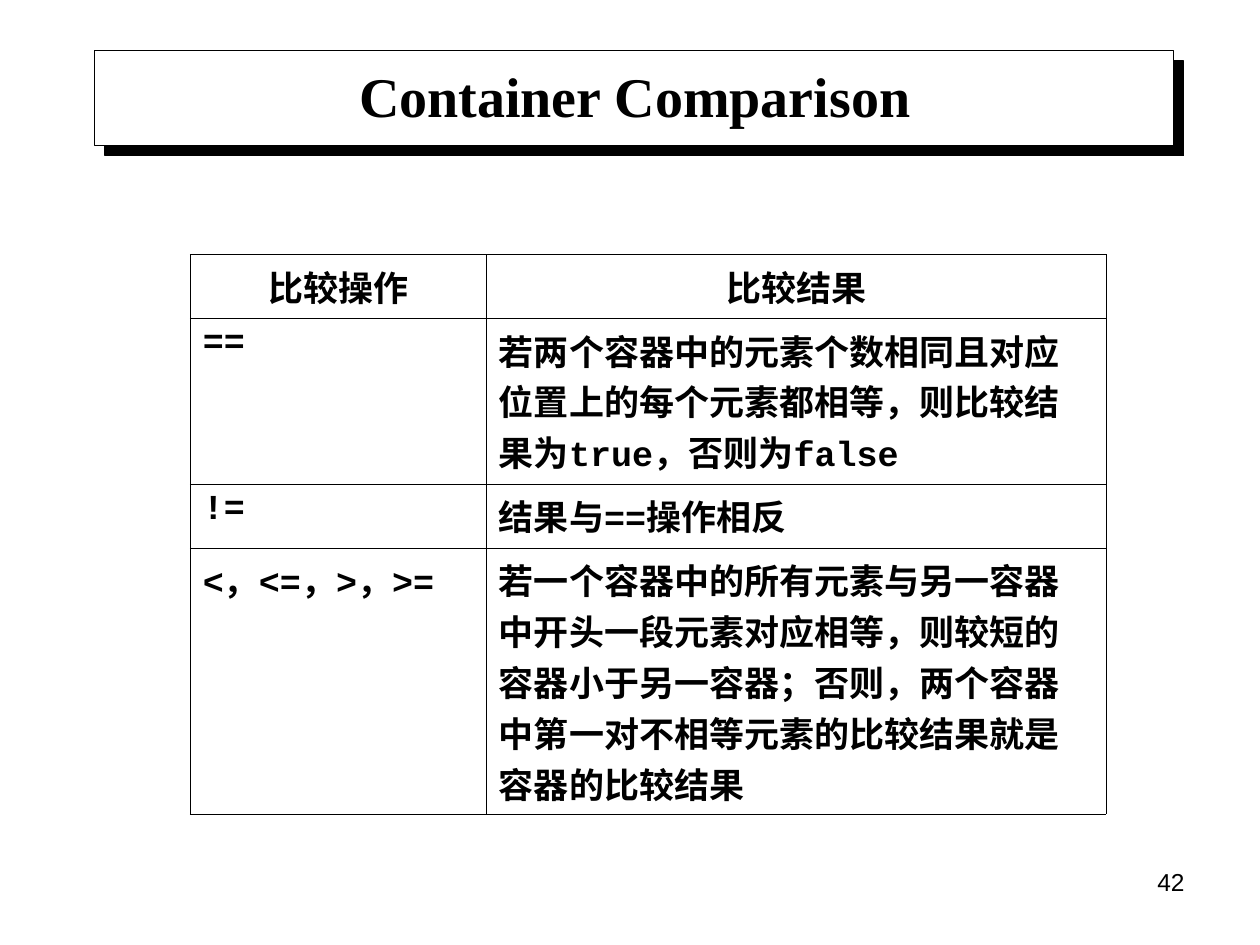
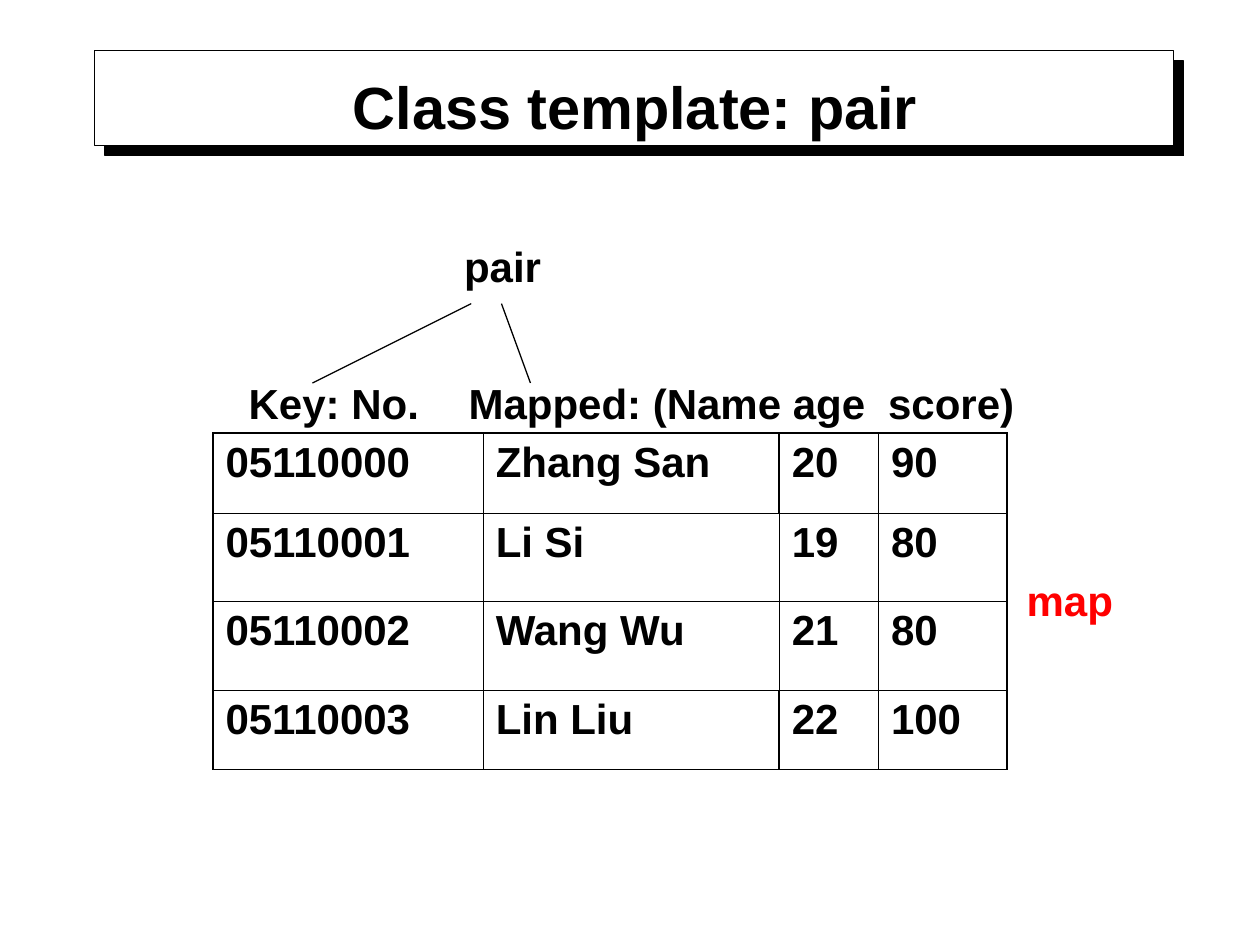
from dataclasses import dataclass

from lxml import etree
from pptx import Presentation
from pptx import util as u
from pptx.dml.color import RGBColor
from pptx.enum import shapes, text
from pptx.oxml import ns


@dataclass(frozen=True)
class Theme:
    ink: RGBColor = RGBColor(0, 0, 0)
    paper: RGBColor = RGBColor(255, 255, 255)
    accent: RGBColor = RGBColor(255, 0, 0)
    sans: str = "Arial"
    serif: str = "Times New Roman"
    mono: str = "Courier New"
    number_size: int = 14
    cell_size: int = 20
    label_size: int = 24
    serif_title_size: int = 32
    sans_title_size: int = 34
    line: float = 0.75
    hair: float = 0.34
    thin: float = 0.45
    thick: float = 1.08


@dataclass(frozen=True)
class Box:
    left: float
    top: float
    width: float
    height: float

    def inside(self, left, top, width, height):
        return Box(self.left + left, self.top + top, width, height)

    def lengths(self):
        return [grid(value) for value in (self.left, self.top, self.width, self.height)]


THEME = Theme()
SLIDE_WIDTH, SLIDE_HEIGHT = u.Inches(10), u.Inches(7.5)
COLUMNS = 100
BAND = Box(7.5, 4, 85.63, 7.53)
INSETS = {"margin_left": u.Inches(0.1), "margin_right": u.Inches(0.1),
          "margin_top": u.Inches(0.05), "margin_bottom": u.Inches(0.05)}
NO_INSETS = dict.fromkeys(INSETS, 0)


def grid(count):
    return u.Emu(round(count * SLIDE_WIDTH / COLUMNS))


def apply_format(target, values):
    for name, value in values.items():
        setattr(target, name, value)


def add_element(parent, tag, **attributes):
    return etree.SubElement(parent, ns.qn(tag), attributes)


def write(paragraph, runs, size, bold=True, color=THEME.ink, align=text.PP_ALIGN.LEFT):
    paragraph.alignment = align
    for words, face in runs:
        run = paragraph.add_run()
        run.text = words
        apply_format(run.font, {"name": face, "size": u.Pt(size), "bold": bold})
        run.font.color.rgb = color


def add_label(slide, box, words, size=THEME.label_size, tab=None,
              anchor=text.MSO_ANCHOR.MIDDLE, **style):
    frame = slide.shapes.add_textbox(*box.lengths()).text_frame
    apply_format(frame, {**INSETS, "word_wrap": True, "vertical_anchor": anchor})
    paragraph = frame.paragraphs[0]
    if tab:
        tabs = add_element(paragraph._p.get_or_add_pPr(), "a:tabLst")
        add_element(tabs, "a:tab", pos=str(grid(tab)), algn="l")
    write(paragraph, [(words, THEME.sans)], size, **style)


def add_line(slide, start, end):
    points = [grid(value) for value in (*start, *end)]
    connector = slide.shapes.add_connector(shapes.MSO_CONNECTOR.STRAIGHT, *points)
    connector.line.color.rgb = THEME.ink
    connector.line.width = u.Pt(THEME.line)
    add_element(connector._element.spPr, "a:effectLst")


def add_title_band(slide, box, title_box, words, face, size):
    band = slide.shapes.add_shape(shapes.MSO_SHAPE.RECTANGLE, *box.lengths())
    band.fill.solid()
    band.fill.fore_color.rgb = THEME.paper
    band.line.color.rgb = THEME.ink
    band.line.width = u.Pt(THEME.line)
    band.shadow.inherit = False
    effects = band._element.spPr.find(ns.qn("a:effectLst"))
    shadow = add_element(effects, "a:outerShdw", blurRad="0", dist=str(u.Pt(8.5)),
                         dir="2700000", algn="ctr", rotWithShape="0")
    add_element(shadow, "a:srgbClr", val=str(THEME.ink))

    title = slide.shapes.title
    title.element.addprevious(band.element)
    apply_format(title, dict(zip(("left", "top", "width", "height"), title_box.lengths())))
    apply_format(title.text_frame, {**NO_INSETS, "word_wrap": True,
                                    "auto_size": text.MSO_AUTO_SIZE.NONE,
                                    "vertical_anchor": text.MSO_ANCHOR.MIDDLE})
    write(title.text_frame.paragraphs[0], [(words, face)], size,
          align=text.PP_ALIGN.CENTER)


def set_borders(cell, widths):
    properties = cell._tc.get_or_add_tcPr()
    for index, (side, width) in enumerate(widths.items()):
        line = etree.Element(ns.qn(f"a:ln{side}"), {"w": str(u.Pt(width))})
        fill = add_element(line, "a:solidFill")
        add_element(fill, "a:srgbClr", val=str(THEME.ink))
        properties.insert(index, line)


def add_grid_table(slide, box, columns, rows, cells, size, horizontal, vertical,
                   header=False):
    table = slide.shapes.add_table(len(rows), len(columns), *box.lengths()).table
    apply_format(table, {"first_row": False, "horz_banding": False})
    for column, width in zip(table.columns, columns):
        column.width = grid(width)
    for row, height in zip(table.rows, rows):
        row.height = grid(height)
    for r, row in enumerate(cells):
        for c, runs in enumerate(row):
            cell = table.cell(r, c)
            apply_format(cell, {**INSETS, "vertical_anchor": text.MSO_ANCHOR.TOP})
            cell.fill.solid()
            cell.fill.fore_color.rgb = THEME.paper
            set_borders(cell, {"L": vertical[r][c], "R": vertical[r][c + 1],
                               "T": horizontal[r], "B": horizontal[r + 1]})
            centred = header and r == 0
            write(cell.text_frame.paragraphs[0], runs, size,
                  align=text.PP_ALIGN.CENTER if centred else text.PP_ALIGN.LEFT)


def add_comparison_table(slide, box):
    sans, serif, mono = THEME.sans, THEME.serif, THEME.mono
    cells = [
        [[("比较操作", sans)], [("比较结果", sans)]],
        [[("==", mono)],
         [("若两个容器中的元素个数相同且对应位置上的每个元素都相等，则比较结果为", serif),
          ("true", mono), ("，否则为", serif), ("false", mono)]],
        [[("!=", mono)], [("结果与", serif), ("==", mono), ("操作相反", serif)]],
        [[("<，<=，>，>=", mono)],
         [("若一个容器中的所有元素与另一容器中开头一段元素对应相等，则较短的容器小于另一容器；"
           "否则，两个容器中第一对不相等元素的比较结果就是容器的比较结果", serif)]],
    ]
    hair, thin = THEME.hair, THEME.thin
    add_grid_table(slide, box, [23.5, 49.2], [5.04, 13.17, 5.08, 21.11], cells,
                   THEME.cell_size, [thin, thin, hair, hair, thin],
                   [[hair] * 3] * len(cells), header=True)


def add_map_table(slide, box):
    people = [("Zhang San", 20, 90), ("Li Si", 19, 80),
              ("Wang Wu", 21, 80), ("Lin Liu", 22, 100)]
    cells = [[[(str(value), THEME.sans)] for value in (f"0511{number:04}", *person)]
             for number, person in enumerate(people)]
    thin, thick = THEME.thin, THEME.thick
    inner = [(thin, thick, thick), (thin, thin, thin),
             (thin, thin, thick), (thin, thick, thick)]
    add_grid_table(slide, box, [21.45, 23.5, 7.87, 10.23], [6.37, 6.95, 7.08, 6.3],
                   cells, THEME.label_size, [thick, thin, thin, thin, thick],
                   [(thick, *edges, thick) for edges in inner])


def add_pair_diagram(slide, box):
    add_map_table(slide, box.inside(0, 15.78, 63.05, 26.7))
    add_label(slide, box.inside(1.85, 10.9, 16.4, 5), "Key: No.")
    add_label(slide, box.inside(19.3, 10.9, 51.8, 5), "Mapped: (Name age\tscore)",
              tab=33.3)
    add_label(slide, box.inside(18.95, 0, 9, 5), "pair")
    for start, end in (((7.9, 11.8), (20.5, 5.5)), ((25.2, 11.8), (22.9, 5.5))):
        add_line(slide, *[(box.left + x, box.top + y) for x, y in (start, end)])
    add_label(slide, box.inside(63.6, 26.5, 10, 5), "map", color=THEME.accent)


def build_comparison_slide(slide):
    add_title_band(slide, BAND, BAND.inside(0.75, 0.4, 84.3, 6.3), "Container Comparison",
                   THEME.serif, THEME.serif_title_size)
    add_label(slide, Box(71.7, 68.3, 23.3, 5.2), "42", THEME.number_size, bold=False,
              align=text.PP_ALIGN.RIGHT, anchor=text.MSO_ANCHOR.TOP)
    add_comparison_table(slide, Box(15.1, 20.2, 72.7, 44.4))


def build_pair_slide(slide):
    add_title_band(slide, BAND, BAND.inside(0, 1.25, 85.8, 6.3), "Class template: pair",
                   THEME.sans, THEME.sans_title_size)
    add_pair_diagram(slide, Box(16.9, 18.6, 72, 43))


def main():
    presentation = Presentation()
    apply_format(presentation, {"slide_width": SLIDE_WIDTH, "slide_height": SLIDE_HEIGHT})
    title_only = presentation.slide_layouts.get_by_name("Title Only")
    for build in (build_comparison_slide, build_pair_slide):
        build(presentation.slides.add_slide(title_only))
    presentation.save("out.pptx")


if __name__ == "__main__":
    main()
